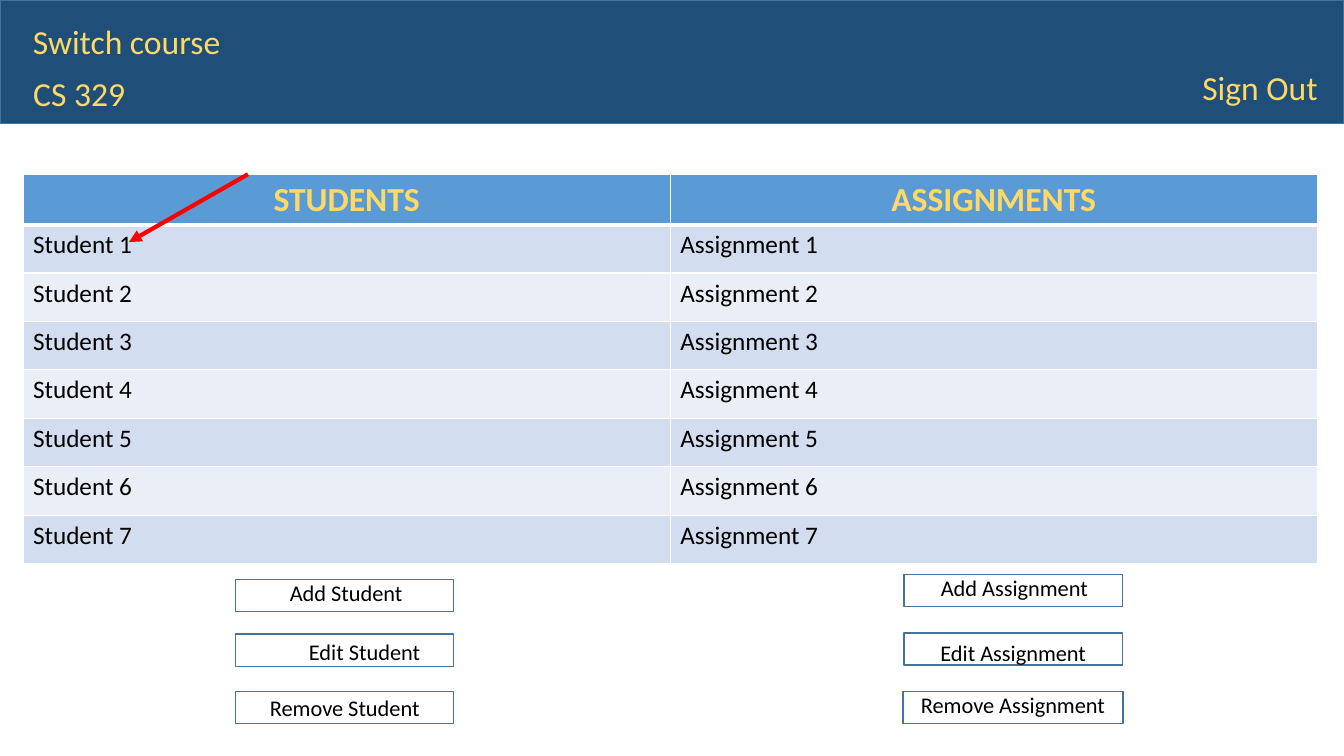
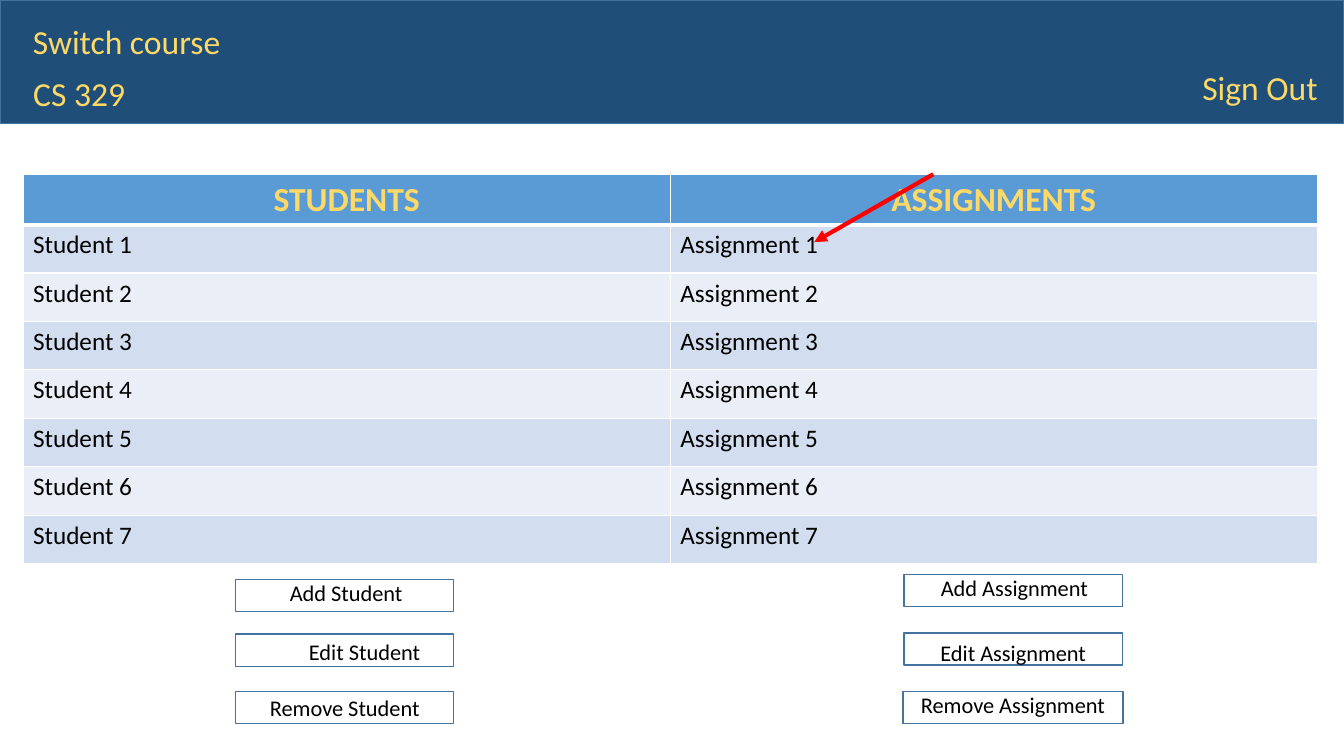
from dataclasses import dataclass

from lxml.etree import SubElement
from pptx import Presentation
from pptx.dml.color import RGBColor as Rgb
from pptx.enum.shapes import MSO_CONNECTOR as Connector, MSO_SHAPE as Preset
from pptx.enum.text import MSO_ANCHOR as Anchor, MSO_AUTO_SIZE as AutoSize, PP_ALIGN as Align
from pptx.oxml.ns import qn
from pptx.util import Cm, Pt


@dataclass(frozen=True)
class Theme:
    """Colours, font and type sizes of the whole deck."""
    navy: str = "1F4E79"
    outline: str = "43739E"
    gold: str = "FFD966"
    header: str = "5B9BD5"
    stripes: tuple = ("D2DEEF", "EAEFF7")
    black: str = "000000"
    white: str = "FFFFFF"
    red: str = "FF0000"
    font: str = "Calibri"
    heading_size: int = 24
    row_size: int = 18
    button_size: int = 16


THEME = Theme()
SLIDE_WIDTH, SLIDE_HEIGHT = 33.87, 19.05
MARGIN = 0.58
TABLE_TOP, COLUMN_WIDTH, ROW_HEIGHT = 4.39, 16.31, 1.22
ROW_COUNT = 7
BUTTON_HEIGHT, LABEL_HEIGHT, NAV_HEIGHT = 0.81, 0.94, 1.27
ARROW_RUN, ARROW_DROP = 3, 1.71

# Button: left, top, width; label: left, top, width
BUTTONS = {
    "Add Student": ((5.94, 14.6, 5.49), (6.02, 14.48, 5.41)),
    "Edit Student": ((5.94, 15.98, 5.49), (6.98, 15.95, 4.42)),
    "Remove Student": ((5.94, 17.42, 5.49), (5.97, 17.37, 5.44)),
    "Add Assignment": ((22.78, 14.48, 5.51), (22.81, 14.35, 5.51)),
    "Edit Assignment": ((22.78, 15.95, 5.51), (22.78, 15.98, 5.51)),
    "Remove Assignment": ((22.76, 17.42, 5.54), (22.76, 17.3, 5.54)),
}
# Left end of the arrow on each slide: the student, then the assignment
ARROW_TIPS = (3.25, 20.52)


def apply_format(target, values):
    """Set every attribute named in values on target."""
    for name, value in values.items():
        setattr(target, name, value)


def write(frame, wording, size, colour, align=Align.LEFT, bold=False):
    """Fill a text frame with one formatted paragraph."""
    frame.text = wording
    paragraph = frame.paragraphs[0]
    paragraph.alignment = align
    font = paragraph.runs[0].font
    apply_format(font, {"name": THEME.font, "size": Pt(size), "bold": bold})
    font.color.rgb = Rgb.from_string(colour)


def fit_frame(frame):
    """Give a text frame the behaviour shared by all free text."""
    apply_format(frame, {"word_wrap": True, "vertical_anchor": Anchor.TOP,
                         "auto_size": AutoSize.SHAPE_TO_FIT_TEXT})


def add_label(slide, wording, box, size, colour, align=Align.LEFT):
    """Add a text box; box is left, top, width, height in centimetres."""
    label = slide.shapes.add_textbox(*map(Cm, box))
    fit_frame(label.text_frame)
    write(label.text_frame, wording, size, colour, align)


def add_panel(slide, box, fill=None):
    """Add an outlined rectangle, hollow unless a fill is given."""
    panel = slide.shapes.add_shape(Preset.RECTANGLE, *map(Cm, box))
    panel.shadow.inherit = False
    if fill:
        panel.fill.solid()
        panel.fill.fore_color.rgb = Rgb.from_string(fill)
    else:
        panel.fill.background()
    panel.line.width = Pt(1)
    panel.line.color.rgb = Rgb.from_string(THEME.outline)
    return panel


def add_banner(slide):
    """Add the top band with the course title and its two commands."""
    band = add_panel(slide, (0, 0, SLIDE_WIDTH, 3.12), THEME.navy)
    course = slide.shapes.title
    band.element.addnext(course.element)
    apply_format(course, {"left": Cm(MARGIN), "top": Cm(1.7),
                          "width": Cm(4.17), "height": Cm(NAV_HEIGHT)})
    fit_frame(course.text_frame)
    write(course.text_frame, "CS 329", THEME.heading_size, THEME.gold)
    for command, left, top, width in (("Switch course", MARGIN, 0.41, 5.33),
                                      ("Sign Out", 30.05, 1.55, 4.17)):
        add_label(slide, command, (left, top, width, NAV_HEIGHT),
                  THEME.heading_size, THEME.gold)


def add_borders(cell, top, bottom):
    """Draw white cell borders with the given top and bottom widths."""
    properties = cell._tc.get_or_add_tcPr()
    widths = {"a:lnL": 1, "a:lnR": 1, "a:lnT": top, "a:lnB": bottom}
    for position, (side, width) in enumerate(widths.items()):
        border = SubElement(properties, qn(side), w=str(Pt(width)))
        colour = SubElement(border, qn("a:solidFill"))
        SubElement(colour, qn("a:srgbClr"), val=THEME.white)
        properties.insert(position, border)


def add_roster(slide):
    """Add the striped table of students and assignments."""
    roster = slide.shapes.add_table(
        ROW_COUNT + 1, 2, Cm(MARGIN), Cm(TABLE_TOP),
        Cm(2 * COLUMN_WIDTH), Cm((ROW_COUNT + 1) * ROW_HEIGHT)).table
    for column in roster.columns:
        column.width = Cm(COLUMN_WIDTH)
    for number, row in enumerate(roster.rows):
        row.height = Cm(ROW_HEIGHT)
        for cell, kind in zip(row.cells, ("Student", "Assignment")):
            cell.fill.solid()
            if number == 0:
                fill, top, bottom = THEME.header, 1, 3
                write(cell.text_frame, f"{kind}s".upper(), THEME.heading_size,
                      THEME.gold, Align.CENTER, bold=True)
            else:
                fill = THEME.stripes[(number - 1) % 2]
                top, bottom = (3 if number == 1 else 1), 1
                write(cell.text_frame, f"{kind} {number}", THEME.row_size, THEME.black)
            cell.fill.fore_color.rgb = Rgb.from_string(fill)
            add_borders(cell, top, bottom)


def add_buttons(slide):
    """Add the outlined buttons and their labels below the table."""
    for wording, (button, label) in BUTTONS.items():
        add_panel(slide, (*button, BUTTON_HEIGHT))
        add_label(slide, wording, (*label, LABEL_HEIGHT),
                  THEME.button_size, THEME.black, Align.CENTER)


def add_pointer(slide, tip):
    """Add the red arrow falling from the table top to its tip."""
    pointer = slide.shapes.add_connector(
        Connector.STRAIGHT, Cm(tip + ARROW_RUN), Cm(TABLE_TOP),
        Cm(tip), Cm(TABLE_TOP + ARROW_DROP))
    pointer.line.width = Pt(3)
    pointer.line.color.rgb = Rgb.from_string(THEME.red)
    SubElement(pointer.line._get_or_add_ln(), qn("a:tailEnd"), type="triangle")
    SubElement(pointer.element.spPr, qn("a:effectLst"))


def main():
    """Build one course page for each arrow and save the deck."""
    deck = Presentation()
    apply_format(deck, {"slide_width": Cm(SLIDE_WIDTH), "slide_height": Cm(SLIDE_HEIGHT)})
    title_only = deck.slide_layouts.get_by_name("Title Only")
    for tip in ARROW_TIPS:
        page = deck.slides.add_slide(title_only)
        add_banner(page)
        add_roster(page)
        add_buttons(page)
        add_pointer(page, tip)
    deck.save("out.pptx")


main()
